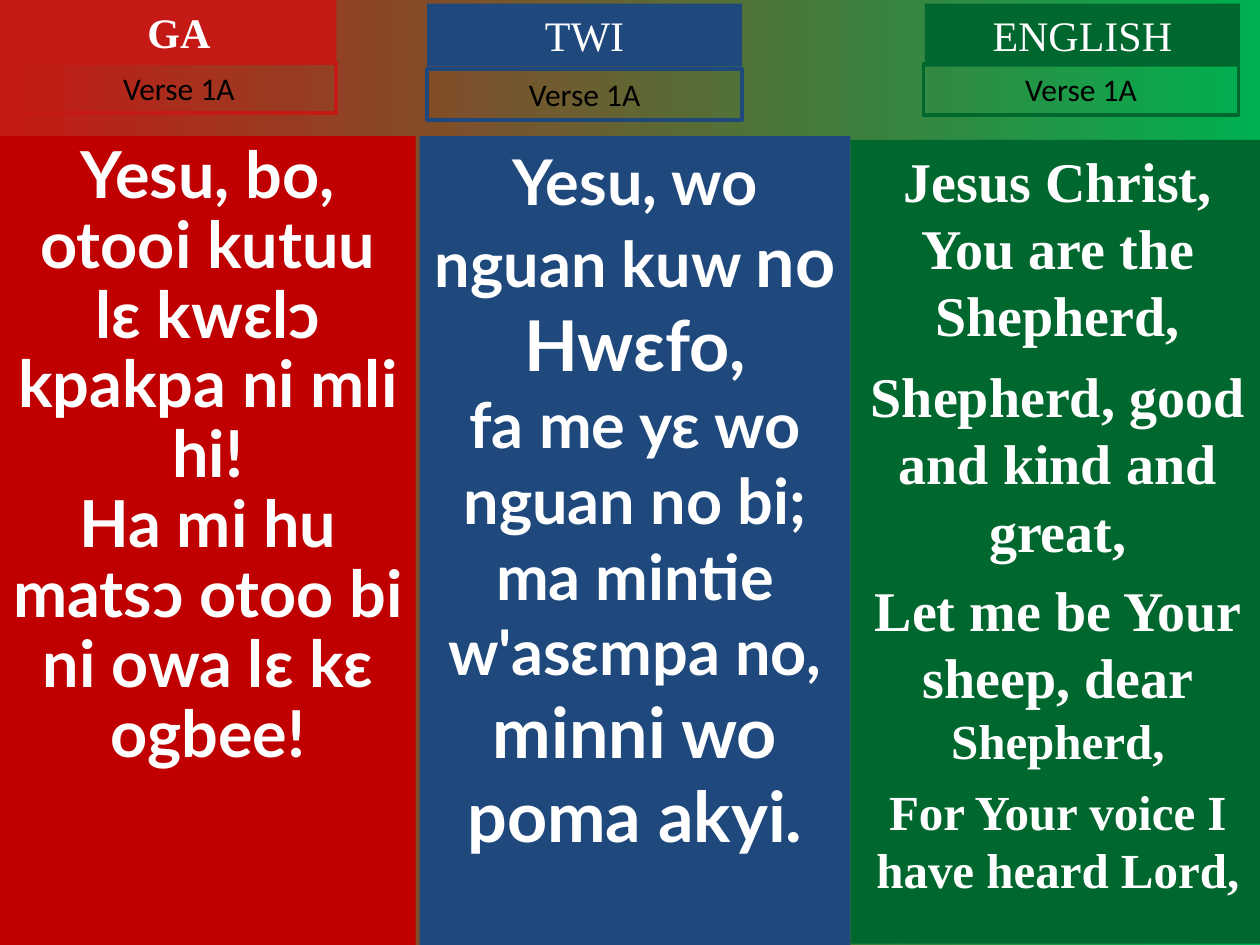
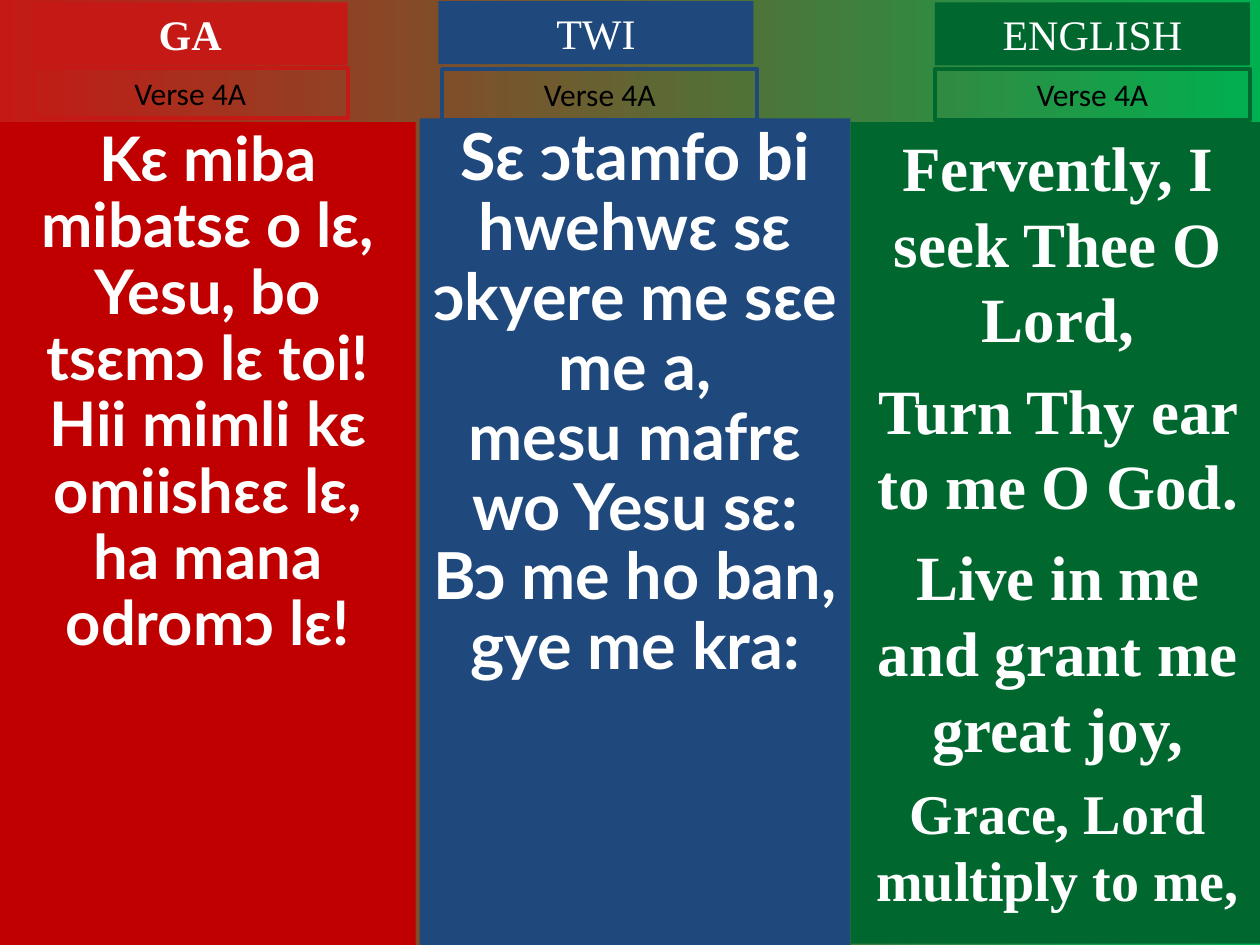
from pptx import Presentation
from pptx.dml.color import RGBColor
from pptx.enum.shapes import MSO_SHAPE
from pptx.enum.text import MSO_ANCHOR, PP_ALIGN
from pptx.util import Inches, Pt

RED, BLUE, GREEN = "C51915", "1F497D", "00682F"
PANEL_RED, BRIGHT_GREEN = "C00000", "00B050"
WHITE, BLACK = "FFFFFF", "000000"
SERIF, SANS, LYRIC = "Times New Roman", "Calibri", "Lato"
SLIDE_H = 7.5

# language: accent colour, bold heading
LANGUAGES = {"GA": (RED, True), "TWI": (BLUE, False), "ENGLISH": (GREEN, False)}
# language: left, width, bottom, fill, font
PANELS = {
    "GA": (0, 3.3, SLIDE_H, PANEL_RED, LYRIC),
    "TWI": (3.33, 3.42, SLIDE_H, BLUE, LYRIC),
    "ENGLISH": (6.75, 3.29, 7.49, GREEN, SERIF),
}

# Each panel is (top, line spacing, paragraphs);
# each paragraph is (space before, [(text, size), ...]).
VERSES = [
    {
        "label": "Verse 1A",
        "headings": {"GA": (0.17, 0), "TWI": (3.39, 0.03), "ENGLISH": (7.34, 0.03)},
        "labels": {"GA": (0.17, 0.5), "TWI": (3.39, 0.55), "ENGLISH": (7.33, 0.51)},
        "panels": {
            "GA": (1.08, 0.9, [
                (0, [("Yesu, bo, otooi kutuu lɛ kwɛlɔ kpakpa ni mli hi!", 37)]),
                (0, [("Ha mi hu matsɔ otoo bi ni owa lɛ kɛ ogbee!", 37)]),
            ]),
            "TWI": (1.08, 1.0, [
                (0, [("Yesu, wo nguan kuw ", 36), ("no Hwɛfo,", 40)]),
                (0, [("fa me yɛ wo nguan no bi;", 36)]),
                (0, [("ma mintie w'asɛmpa no,", 36)]),
                (0, [("minni wo poma akyi.", 40)]),
            ]),
            "ENGLISH": (1.11, 1.0, [
                (0, [("Jesus Christ, You are the Shepherd,", 32)]),
                (8, [("Shepherd, good and kind and great,", 32)]),
                (7, [("Let me be Your sheep, dear ", 32), ("Shepherd,", 28)]),
                (7, [("For Your voice I have heard Lord,", 28)]),
            ]),
        },
    },
    {
        "label": "Verse 4A",
        "headings": {"GA": (0.26, 0.02), "TWI": (3.48, 0.01), "ENGLISH": (7.42, 0.02)},
        "labels": {"GA": (0.26, 0.54), "TWI": (3.51, 0.55), "ENGLISH": (7.42, 0.55)},
        "panels": {
            "GA": (0.97, 0.9, [
                (0, [("Kɛ miba mibatsɛ o lɛ,", 35.1)]),
                (0, [("Yesu, bo tsɛmɔ lɛ toi!", 35.1)]),
                (0, [("Hii mimli kɛ omiishɛɛ lɛ,", 35.1)]),
                (0, [("ha mana odromɔ lɛ!", 35.1)]),
            ]),
            "TWI": (0.94, 0.9, [
                (0, [("Sɛ ɔtamfo bi hwehwɛ sɛ ɔkyere me sɛe me a,", 37)]),
                (0, [("mesu mafrɛ wo Yesu sɛ:", 37)]),
                (0, [("Bɔ me ho ban, gye me kra:", 37)]),
            ]),
            "ENGLISH": (0.97, 1.0, [
                (0, [("Fervently, I seek Thee O Lord,", 36)]),
                (9, [("Turn Thy ear to me O God.", 36)]),
                (9, [("Live in me and grant me great joy,", 36)]),
                (8, [("Grace, Lord multiply to me,", 32)]),
            ]),
        },
    },
]


def rgb(color):
    return RGBColor.from_string(color)


def add_box(slide, left, top, width, height, fill=None, line=None):
    sp = slide.shapes.add_shape(MSO_SHAPE.RECTANGLE, Inches(left), Inches(top),
                                Inches(width), Inches(height))
    sp.shadow.inherit = False
    if fill:
        sp.fill.solid()
        sp.fill.fore_color.rgb = rgb(fill)
    else:
        sp.fill.background()
    if line:
        sp.line.color.rgb = rgb(line)
        sp.line.width = Pt(2.25)
    else:
        sp.line.fill.background()
    tf = sp.text_frame
    tf.word_wrap = True
    tf.vertical_anchor = MSO_ANCHOR.TOP
    return tf


def write(p, text, size=24, font=SERIF, color=WHITE, bold=False):
    p.alignment = PP_ALIGN.CENTER
    r = p.add_run()
    r.text = text
    r.font.size = Pt(size)
    r.font.name = font
    r.font.bold = bold
    r.font.color.rgb = rgb(color)


def add_panel(slide, language, top, line_spacing, paragraphs):
    left, width, bottom, fill, font = PANELS[language]
    tf = add_box(slide, left, top, width, bottom - top, fill=fill)
    for i, (space_before, runs) in enumerate(paragraphs):
        p = tf.add_paragraph() if i else tf.paragraphs[0]
        p.line_spacing = line_spacing
        if space_before:
            p.space_before = Pt(space_before)
        for text, size in runs:
            write(p, text, size=size, font=font, bold=True)


def add_heading(slide, language, left, top):
    color, bold = LANGUAGES[language]
    tf = add_box(slide, left, top, 2.5, 0.5, fill=color)
    write(tf.paragraphs[0], language, bold=bold)


def add_verse_label(slide, text, language, left, top):
    tf = add_box(slide, left, top, 2.5, 0.4, line=LANGUAGES[language][0])
    write(tf.paragraphs[0], text, size=18, font=SANS, color=BLACK)


def set_background(slide):
    fill = slide.background.fill
    fill.gradient()
    fill.gradient_angle = 0
    for stop, color, position in zip(fill.gradient_stops, (RED, BRIGHT_GREEN), (0, 1)):
        stop.color.rgb = rgb(color)
        stop.position = position


def add_verse_slide(prs, verse):
    slide = prs.slides.add_slide(prs.slide_layouts[6])
    set_background(slide)
    for language in LANGUAGES:
        add_panel(slide, language, *verse["panels"][language])
        add_heading(slide, language, *verse["headings"][language])
        add_verse_label(slide, verse["label"], language, *verse["labels"][language])


def main():
    prs = Presentation()
    prs.slide_width, prs.slide_height = Inches(10), Inches(SLIDE_H)
    for verse in VERSES:
        add_verse_slide(prs, verse)
    prs.save("out.pptx")


if __name__ == "__main__":
    main()
